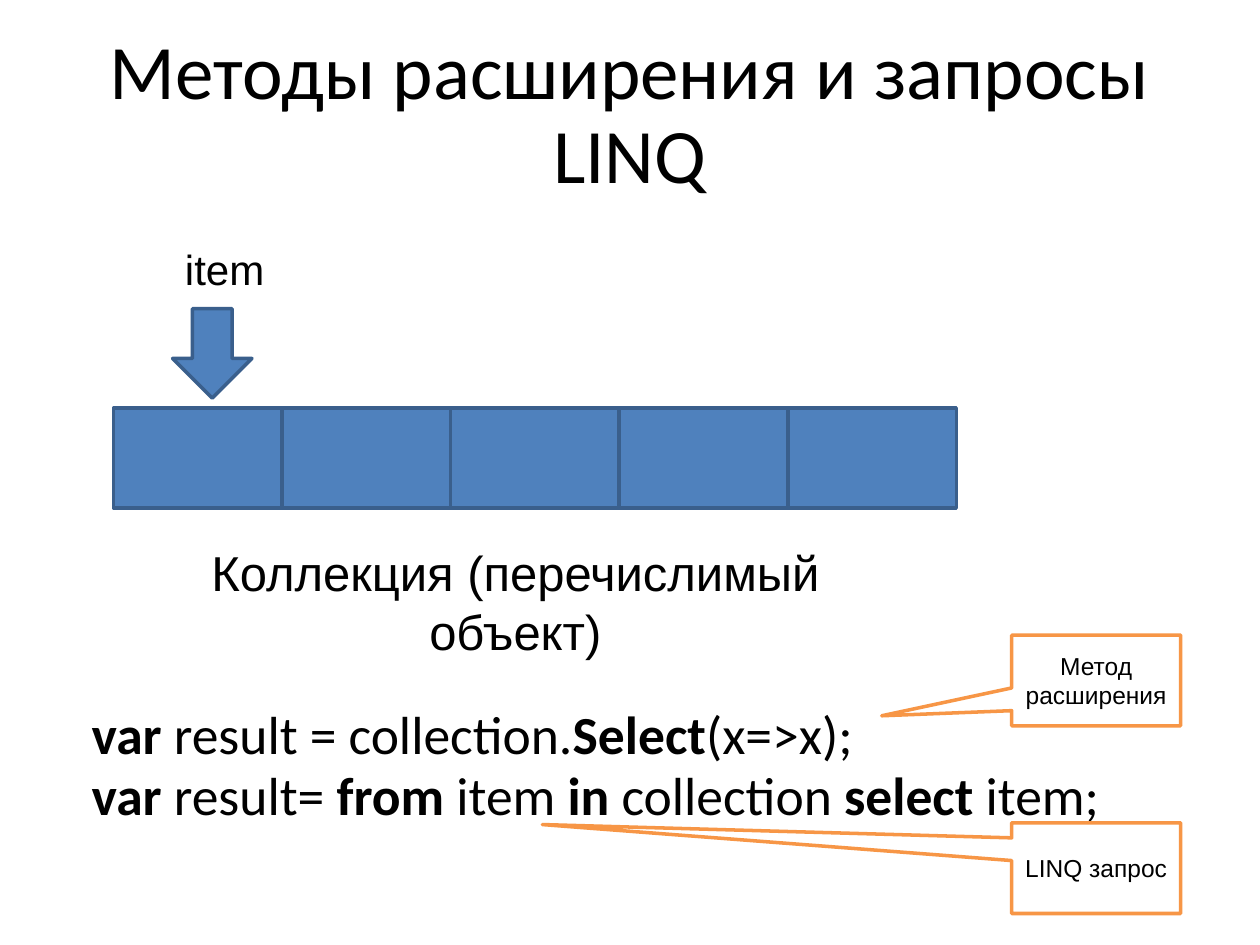
from pptx import Presentation
from pptx import util as u
from pptx.dml.color import RGBColor
from pptx.enum import shapes, text

SLIDE_WIDTH, SLIDE_HEIGHT = u.Inches(10), u.Inches(7.5)
COLUMNS, ROWS = 100, 75

BLACK = RGBColor(0x00, 0x00, 0x00)
WHITE = RGBColor(0xFF, 0xFF, 0xFF)
BLUE = RGBColor(0x4F, 0x81, 0xBD)
DARK_BLUE = RGBColor(0x3A, 0x5F, 0x8C)
ORANGE = RGBColor(0xF7, 0x96, 0x46)

CELL_COUNT, CELL_LEFT, CELL_WIDTH = 5, 9, 13.38
CALLOUTS = [
    ("Метод расширения", 50.4, (-1.27, 0.39)),
    ("LINQ запрос", 65.3, (-3.28, -0.48)),
]
# Each run is its text and whether it is bold.
CODE_LINES = [
    [("var", True), (" result = collection.", False), ("Select", True),
     ("(x=>x);", False)],
    [("var ", True), ("result= ", False), ("from ", True), ("item ", False),
     ("in ", True), ("collection ", False), ("select ", True),
     ("item;", False)],
]


def grid_box(left, top, width, height):
    """Turn grid columns and rows into slide lengths."""
    column, row = SLIDE_WIDTH / COLUMNS, SLIDE_HEIGHT / ROWS
    return (round(left * column), round(top * row),
            round(width * column), round(height * row))


def style_paragraph(paragraph, size, name="Arial", alignment=None):
    paragraph.font.size = u.Pt(size)
    paragraph.font.name = name
    paragraph.font.color.rgb = BLACK
    paragraph.alignment = alignment


def add_text(slide, box, words, size, **style):
    shape = slide.shapes.add_textbox(*grid_box(*box))
    frame = shape.text_frame
    frame.word_wrap = True
    frame.text = words
    style_paragraph(frame.paragraphs[0], size, **style)
    return frame


def add_shape(slide, kind, box, fill, line):
    shape = slide.shapes.add_shape(kind, *grid_box(*box))
    shape.shadow.inherit = False
    shape.fill.solid()
    shape.fill.fore_color.rgb = fill
    shape.line.color.rgb = line
    shape.line.width = u.Pt(2)
    return shape


def add_title(slide):
    frame = add_text(slide, (5, 3, 90, 12.5), "Методы расширения и запросы LINQ",
                     44, name="Calibri", alignment=text.PP_ALIGN.CENTER)
    frame.vertical_anchor = text.MSO_ANCHOR.MIDDLE
    frame.margin_left = frame.margin_right = 0
    frame.margin_top = frame.margin_bottom = 0
    frame.paragraphs[0].line_spacing = 0.9


def add_collection(slide):
    for index in range(CELL_COUNT):
        left = CELL_LEFT + index * CELL_WIDTH
        add_shape(slide, shapes.MSO_SHAPE.RECTANGLE,
                  (left, 32.4, CELL_WIDTH, 7.9), BLUE, DARK_BLUE)
    add_shape(slide, shapes.MSO_SHAPE.DOWN_ARROW, (13.7, 24.5, 6.3, 7.1),
              BLUE, DARK_BLUE)
    add_text(slide, (9, 42.6, 63.8, 10.4), "Коллекция (перечислимый объект)",
             28, alignment=text.PP_ALIGN.CENTER)
    add_text(slide, (13.7, 18.8, 39.4, 5), "item", 24)


def add_code(slide):
    shape = slide.shapes.add_textbox(*grid_box(6.3, 55.1, 91, 10.5))
    frame = shape.text_frame
    frame.word_wrap = True
    for index, runs in enumerate(CODE_LINES):
        paragraph = frame.add_paragraph() if index else frame.paragraphs[0]
        style_paragraph(paragraph, 30.6, name="Calibri")
        if index:
            paragraph.space_before = u.Pt(5.6)
            paragraph.line_spacing = 0.8
        for words, bold in runs:
            run = paragraph.add_run()
            run.text = words
            run.font.bold = bold


def add_callout(slide, words, top, pointer):
    shape = add_shape(slide, shapes.MSO_SHAPE.RECTANGULAR_CALLOUT,
                      (80.3, top, 13.4, 7.2), WHITE, ORANGE)
    shape.adjustments[0], shape.adjustments[1] = pointer
    frame = shape.text_frame
    frame.word_wrap = True
    frame.vertical_anchor = text.MSO_ANCHOR.MIDDLE
    frame.text = words
    style_paragraph(frame.paragraphs[0], 14, alignment=text.PP_ALIGN.CENTER)


def main():
    presentation = Presentation()
    presentation.slide_width = SLIDE_WIDTH
    presentation.slide_height = SLIDE_HEIGHT
    slide = presentation.slides.add_slide(presentation.slide_layouts[6])
    add_title(slide)
    add_collection(slide)
    add_code(slide)
    for callout in CALLOUTS:
        add_callout(slide, *callout)
    presentation.save("out.pptx")


if __name__ == "__main__":
    main()
